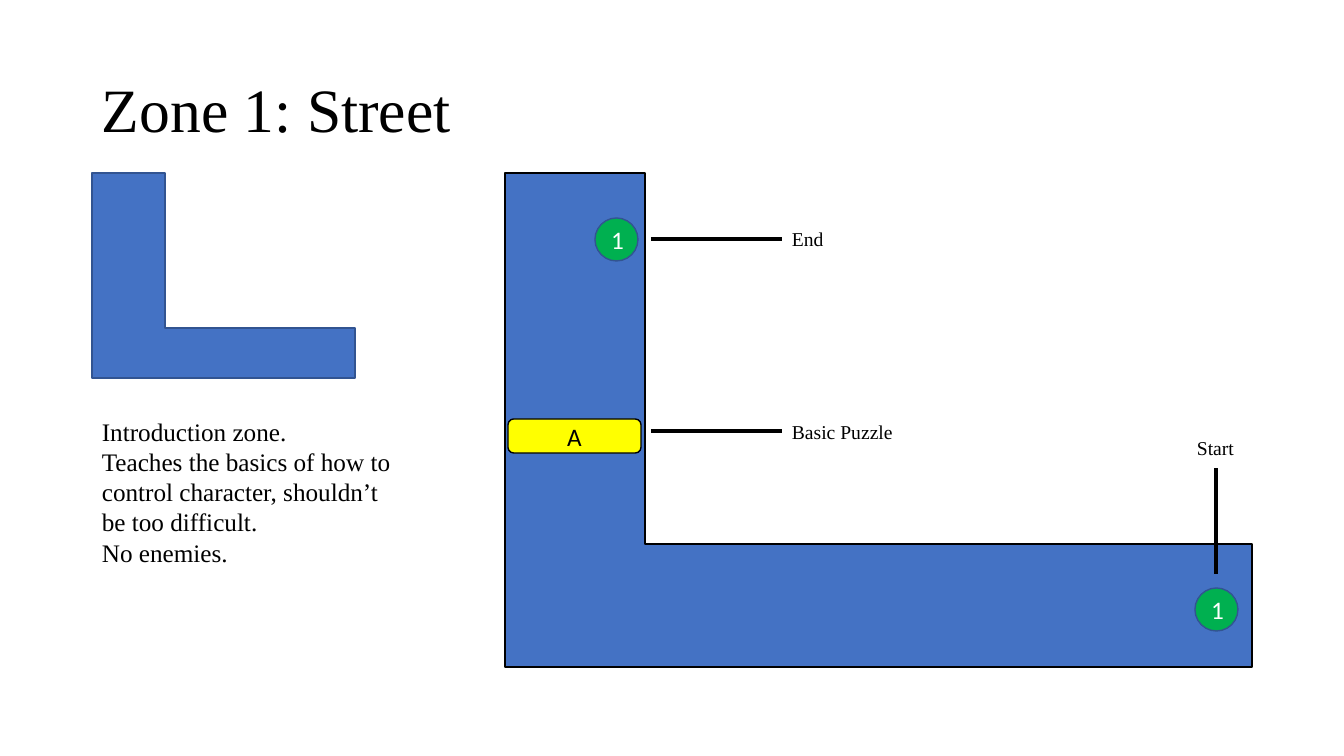
from dataclasses import dataclass
from typing import Any

from lxml.etree import SubElement
from pptx import Presentation
from pptx.dml.color import RGBColor as Rgb
from pptx.enum.shapes import MSO_CONNECTOR as Connector, MSO_SHAPE as Preset
from pptx.enum.text import MSO_ANCHOR as Anchor, PP_ALIGN as Align
from pptx.oxml.ns import qn
from pptx.util import Pt

EMU_PER_PX = 914400 / 100.8
COLORS = {
    "street": "4472C4",
    "outline": "325491",
    "spot": "00B050",
    "puzzle": "FFFF00",
    "black": "000000",
    "white": "FFFFFF",
}
SERIF, SANS = "Times New Roman", "Calibri"

Point = tuple[int, int]
Box = tuple[int, int, int, int]


@dataclass(frozen=True)
class Street:
    """An L-shaped street: outer box, width of the stem, top of the foot."""
    box: Box
    stem: int
    foot_top: int
    outline: str


@dataclass(frozen=True)
class Marker:
    """A lettered spot on the street."""
    preset: Preset
    box: Box
    text: str
    fill: str
    outline: str
    ink: str


@dataclass(frozen=True)
class Caption:
    """A block of text with its font size and frame format."""
    box: Box
    paragraphs: tuple[str, ...]
    size: int
    wrap: bool = True
    anchor: Anchor = Anchor.TOP
    spacing: float = 1.0


@dataclass(frozen=True)
class Leader:
    """A straight line between a label and a marker."""
    start: Point
    end: Point


def px(value: float) -> int:
    """Turn pixels into EMU."""
    return round(value * EMU_PER_PX)


def rgb(name: str) -> Rgb:
    """Look up a named colour."""
    return Rgb.from_string(COLORS[name])


def apply(target: Any, values: dict[str, Any]) -> None:
    """Set every attribute listed in values."""
    for attribute, value in values.items():
        setattr(target, attribute, value)


def paint(shape: Any, fill: str, outline: str) -> None:
    """Give a shape a flat fill, a thin outline and no shadow."""
    shape.shadow.inherit = False
    shape.fill.solid()
    shape.fill.fore_color.rgb = rgb(fill)
    shape.line.color.rgb = rgb(outline)
    shape.line.width = Pt(1)


def write(frame: Any, paragraphs: tuple[str, ...], font: dict[str, Any],
          ink: str, layout: dict[str, Any]) -> None:
    """Fill a text frame with paragraphs of one style."""
    for index, words in enumerate(paragraphs):
        paragraph = frame.add_paragraph() if index else frame.paragraphs[0]
        apply(paragraph, layout)
        run = paragraph.add_run()
        run.text = words
        apply(run.font, font)
        run.font.color.rgb = rgb(ink)


def draw_street(shapes: Any, street: Street) -> None:
    """Draw the L outline of a street."""
    left, top, width, height = street.box
    right, bottom, bend = left + width, top + height, left + street.stem
    builder = shapes.build_freeform(left, top, scale=EMU_PER_PX)
    builder.add_line_segments([
        (bend, top), (bend, street.foot_top), (right, street.foot_top),
        (right, bottom), (left, bottom),
    ], close=True)
    paint(builder.convert_to_shape(), "street", street.outline)


def draw_marker(shapes: Any, marker: Marker) -> None:
    """Draw a filled marker with its centred letter."""
    shape = shapes.add_shape(marker.preset, *map(px, marker.box))
    paint(shape, marker.fill, marker.outline)
    shape.text_frame.vertical_anchor = Anchor.MIDDLE
    write(shape.text_frame, (marker.text,), {"name": SANS, "size": Pt(18)},
          marker.ink, {"alignment": Align.CENTER})


def draw_caption(shapes: Any, caption: Caption) -> None:
    """Draw a text box."""
    frame = shapes.add_textbox(*map(px, caption.box)).text_frame
    apply(frame, {"word_wrap": caption.wrap, "vertical_anchor": caption.anchor})
    write(frame, caption.paragraphs, {"name": SERIF, "size": Pt(caption.size)},
          "black", {"line_spacing": caption.spacing})


def draw_leader(shapes: Any, leader: Leader) -> None:
    """Draw a leader line without shadow."""
    ends = map(px, leader.start + leader.end)
    line = shapes.add_connector(Connector.STRAIGHT, *ends)
    line.line.color.rgb = rgb("black")
    line.line.width = Pt(2.25)
    SubElement(line._element.spPr, qn("a:effectLst"))


def spot(left: int, top: int) -> Marker:
    """Describe a round start or end spot."""
    return Marker(Preset.OVAL, (left, top, 43, 43), "1", "spot", "outline", "white")


STREETS = (
    Street((92, 173, 263, 205), 73, 328, "outline"),
    Street((505, 173, 747, 494), 140, 544, "black"),
)
MARKERS = (
    spot(1195, 588),
    spot(595, 218),
    Marker(Preset.ROUNDED_RECTANGLE, (508, 419, 133, 34), "A", "puzzle", "black", "black"),
)
LEADERS = (
    Leader((651, 239), (782, 239)),
    Leader((1216, 574), (1216, 468)),
    Leader((651, 431), (782, 431)),
)
CAPTIONS = (
    Caption((92, 40, 1160, 146), ("Zone 1: Street",), 44, anchor=Anchor.MIDDLE, spacing=0.9),
    Caption((92, 411, 322, 163), (
        "Introduction zone.",
        "Teaches the basics of how to control character, shouldn’t be too difficult.",
        "No enemies.",
    ), 18),
    Caption((782, 222, 52, 34), ("End",), 14, wrap=False),
    Caption((1187, 431, 57, 34), ("Start",), 14, wrap=False),
    Caption((782, 415, 122, 34), ("Basic Puzzle",), 14, wrap=False),
)


def main() -> None:
    """Build the zone slide and save it."""
    deck = Presentation()
    apply(deck, {"slide_width": px(1344), "slide_height": px(756)})
    shapes = deck.slides.add_slide(deck.slide_layouts[6]).shapes
    for draw, parts in (
        (draw_street, STREETS),
        (draw_marker, MARKERS),
        (draw_leader, LEADERS),
        (draw_caption, CAPTIONS),
    ):
        for part in parts:
            draw(shapes, part)
    deck.save("out.pptx")


main()
